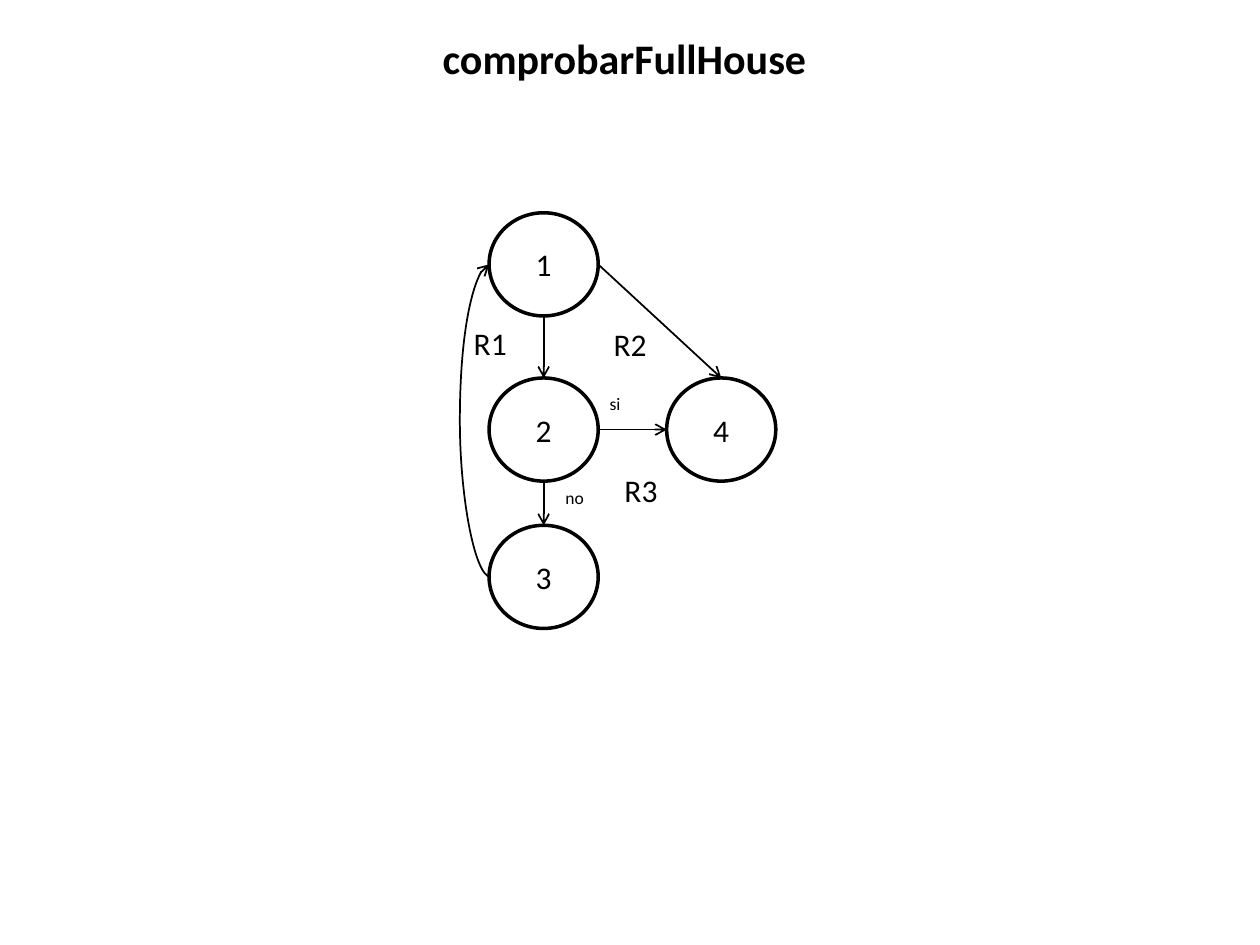
from lxml import etree
from pptx import Presentation
from pptx.dml.color import RGBColor
from pptx.enum.shapes import MSO_CONNECTOR, MSO_SHAPE
from pptx.enum.text import MSO_ANCHOR, MSO_AUTO_SIZE, PP_ALIGN
from pptx.oxml.ns import qn
from pptx.util import Cm, Pt

COLORS = {"ink": "000000", "paper": "FFFFFF"}
NODE_WIDTH, NODE_HEIGHT = 2.2, 2.08
LEFT_COLUMN, RIGHT_COLUMN = 9.86, 13.44
TOPS = (4.29, 7.62, 10.59)


def color(name):
    return RGBColor.from_string(COLORS[name])


def write(frame, text, size=18, bold=False, align=PP_ALIGN.LEFT):
    para = frame.paragraphs[0]
    para.alignment = align
    span = para.add_run()
    span.text = text
    span.font.name = "Calibri"
    span.font.size = Pt(size)
    span.font.bold = bold
    span.font.color.rgb = color("ink")


class Diagram:
    def __init__(self, page):
        self.page = page
        self.page.background.fill.solid()
        self.page.background.fill.fore_color.rgb = color("paper")

    def node(self, text, left, top):
        circle = self.page.shapes.add_shape(
            MSO_SHAPE.OVAL, Cm(left), Cm(top), Cm(NODE_WIDTH), Cm(NODE_HEIGHT))
        circle.shadow.inherit = False
        circle.fill.background()
        circle.line.color.rgb = color("ink")
        circle.line.width = Pt(2)
        circle.text_frame.vertical_anchor = MSO_ANCHOR.MIDDLE
        write(circle.text_frame, text, align=PP_ALIGN.CENTER)

    def arrow(self, start, end, kind=MSO_CONNECTOR.STRAIGHT):
        arrow = self.page.shapes.add_connector(
            kind, *(Cm(value) for value in (*start, *end)))
        arrow.line.color.rgb = color("ink")
        arrow.line.width = Pt(1)
        outline = arrow.line._get_or_add_ln()
        etree.SubElement(outline, qn("a:tailEnd"), type="arrow")
        etree.SubElement(arrow._element.spPr, qn("a:effectLst"))
        return arrow

    def loop_back(self, left, bottom, top, bulge):
        width = 0.03
        arrow = self.arrow((left, top), (left + width, bottom), MSO_CONNECTOR.CURVE)
        properties = arrow._element.spPr
        properties.find(qn("a:xfrm")).set("rot", "10800000")
        guides = properties.find(qn("a:prstGeom")).find(qn("a:avLst"))
        ratio = round(bulge / width * 100000)
        etree.SubElement(guides, qn("a:gd"), name="adj1", fmla=f"val {ratio}")

    def label(self, text, left, top, width, height, wrap=False, **style):
        box = self.page.shapes.add_textbox(Cm(left), Cm(top), Cm(width), Cm(height))
        box.text_frame.word_wrap = wrap
        box.text_frame.auto_size = MSO_AUTO_SIZE.SHAPE_TO_FIT_TEXT
        write(box.text_frame, text, **style)


deck = Presentation()
deck.slide_width, deck.slide_height = Cm(25.4), Cm(19.05)
diagram = Diagram(deck.slides.add_slide(deck.slide_layouts[6]))

for number, top in enumerate(TOPS, 1):
    diagram.node(str(number), LEFT_COLUMN, top)
diagram.node("4", RIGHT_COLUMN, TOPS[1])

center = LEFT_COLUMN + NODE_WIDTH / 2
right = LEFT_COLUMN + NODE_WIDTH
middles = [top + NODE_HEIGHT / 2 for top in TOPS]
for upper, lower in zip(TOPS, TOPS[1:]):
    diagram.arrow((center, upper + NODE_HEIGHT), (center, lower))
diagram.arrow((right, middles[1]), (RIGHT_COLUMN, middles[1]))
diagram.arrow((right, middles[0]), (RIGHT_COLUMN + NODE_WIDTH / 2, TOPS[1]))
diagram.loop_back(LEFT_COLUMN, middles[2], middles[0], 0.62)

diagram.label("comprobarFullHouse", 2.67, 0.53, 19.84, 1.27, wrap=True,
              size=24, bold=True, align=PP_ALIGN.CENTER)
for text, left, top, width in (("si", 12.04, 7.8, 0.74), ("no", 11.15, 9.7, 0.89)):
    diagram.label(text, left, top, width, 0.69, size=10)
for text, left, top in (("R1", 9.3, 6.4), ("R2", 12.12, 6.43), ("R3", 12.34, 9.37)):
    diagram.label(text, left, top, 1.19, 1.02)

deck.save("out.pptx")
